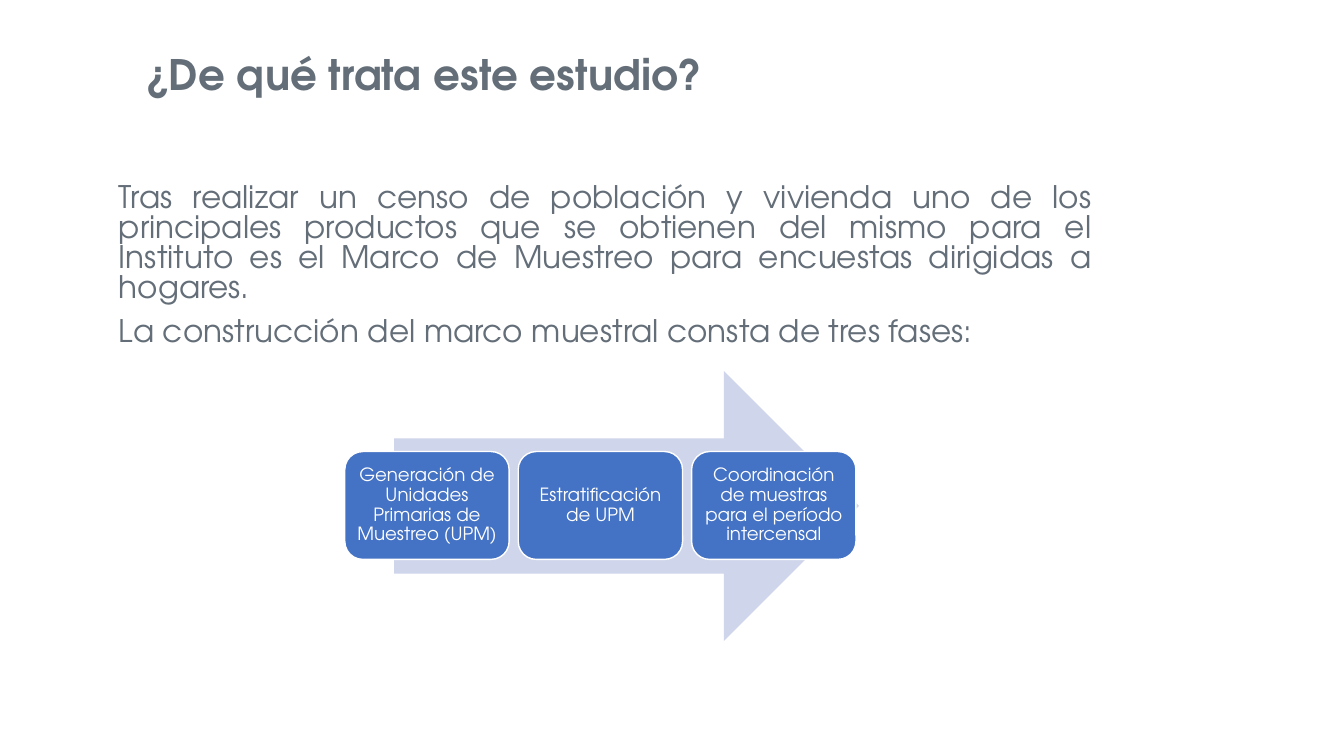
from pptx import Presentation, util as u
from pptx.dml.color import RGBColor
from pptx.enum import shapes, text


def color(value):
    return RGBColor.from_string(value)


class SlideBuilder:
    font = "TeX Gyre Adventor"
    ink = "646E78"
    accent = "4472C4"
    pale = "CFD5EA"
    white = "FFFFFF"

    def __init__(self, prs):
        self.s = prs.slides.add_slide(prs.slide_layouts[5])

    def set_text(self, tf, lines, size, ink, align, spacing, before=0, bold=False):
        tf.word_wrap = True
        tf.auto_size = text.MSO_AUTO_SIZE.NONE
        tf.vertical_anchor = text.MSO_ANCHOR.MIDDLE
        tf.text = "\n".join(lines)
        for p in tf.paragraphs:
            p.alignment = align
            p.line_spacing = spacing
            p.space_before = u.Pt(before)
            for r in p.runs:
                r.font.name = self.font
                r.font.size = u.Pt(size)
                r.font.bold = bold
                r.font.color.rgb = color(ink)

    def title(self, line, x, y, w, h):
        sp = self.s.shapes.title
        sp.left, sp.top, sp.width, sp.height = map(u.Inches, (x, y, w, h))
        sp.text_frame.margin_left = u.Inches(0.22)
        self.set_text(sp.text_frame, [line], 30, self.ink,
                      text.PP_ALIGN.LEFT, 0.9, bold=True)

    def body(self, lines, x, y, w, h):
        sp = self.s.shapes.add_textbox(*map(u.Inches, (x, y, w, h)))
        self.set_text(sp.text_frame, lines, 22.2, self.ink,
                      text.PP_ALIGN.JUSTIFY, 0.8, before=10)

    def shape(self, kind, fill, x, y, w, h):
        sp = self.s.shapes.add_shape(kind, *map(u.Inches, (x, y, w, h)))
        sp.shadow.inherit = False
        sp.fill.solid()
        sp.fill.fore_color.rgb = color(fill)
        sp.line.fill.background()
        return sp

    def arrow(self, x, y, w, h):
        self.shape(shapes.MSO_SHAPE.RIGHT_ARROW, self.pale, x, y, w, h)

    def phase(self, line, x, y, w, h):
        sp = self.shape(shapes.MSO_SHAPE.ROUNDED_RECTANGLE, self.accent, x, y, w, h)
        sp.line.color.rgb = color(self.white)
        sp.line.width = u.Pt(1)
        tf = sp.text_frame
        tf.margin_left = tf.margin_right = u.Inches(0.05)
        tf.margin_top = tf.margin_bottom = u.Inches(0.05)
        self.set_text(tf, [line], 13, self.white, text.PP_ALIGN.CENTER, 0.9)


def main():
    prs = Presentation()
    prs.slide_width, prs.slide_height = u.Inches(13.33), u.Inches(7.5)
    slide = SlideBuilder(prs)
    slide.title("¿De qué trata este estudio?", 1.22, 0.47, 7.9, 0.58)
    slide.body([
        "Tras realizar un censo de población y vivienda uno de los principales "
        "productos que se obtienen del mismo para el Instituto es el Marco de "
        "Muestreo para encuestas dirigidas a hogares.",
        "La construcción del marco muestral consta de tres fases:",
    ], 1.08, 1.78, 9.85, 1.73)
    slide.arrow(3.91, 3.68, 4.61, 2.68)
    phases = [
        "Generación de Unidades Primarias de Muestreo (UPM)",
        "Estratificación de UPM",
        "Coordinación de muestras para el período intercensal",
    ]
    for i, phase in enumerate(phases):
        slide.phase(phase, 3.42 + 1.72 * i, 4.48, 1.63, 1.07)
    prs.save("out.pptx")


if __name__ == "__main__":
    main()
